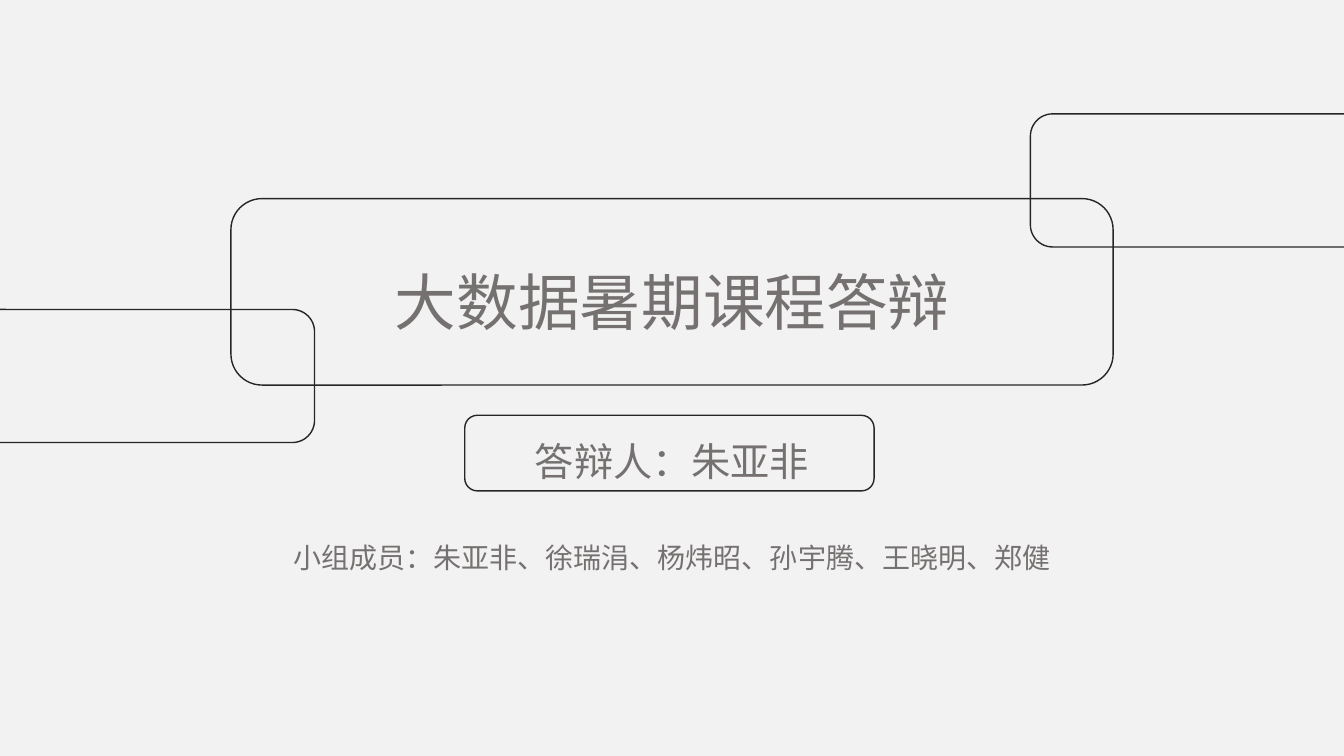
"""Build the cover slide of a course defence."""
from lxml.etree import SubElement
from pptx import Presentation
from pptx.dml.color import RGBColor
from pptx.enum.shapes import MSO_SHAPE as Shape
from pptx.enum.text import MSO_ANCHOR as Anchor, MSO_AUTO_SIZE as Fit, PP_ALIGN as Align
from pptx.oxml.ns import qn
from pptx.util import Inches, Pt

FONT = "Noto Sans CJK SC"
PAPER, INK, GREY = "F2F2F2", "262626", "767171"
FRAMES = [
    (2.29, 1.97, 8.75, 1.85),
    (-3.11, 3.07, 6.23, 1.32),
    (4.61, 4.12, 4.06, 0.75),
    (10.22, 1.13, 6.23, 1.32),
]
TITLE_BOX = (3.79, 2.57, 5.76, 0.84)
TEAM_BOX = (2.78, 4.29, 7.77, 1.85)
TITLE = [("大数据暑期课程答辩", 44, 0)]
TEAM = [
    ("答辩人：朱亚非", 28, 0),
    ("小组成员：朱亚非、徐瑞涓、杨炜昭、孙宇腾、王晓明、郑健", 20, 40),
]


def paint(color, code):
    color.rgb = RGBColor.from_string(code)


def write(frame, lines):
    frame.word_wrap = False
    frame.auto_size = Fit.SHAPE_TO_FIT_TEXT
    frame.vertical_anchor = Anchor.TOP
    for i, (text, size, gap) in enumerate(lines):
        para = frame.add_paragraph() if i else frame.paragraphs[0]
        para.text = text
        para.alignment = Align.CENTER
        para.line_spacing = 1.0
        para.space_before = Pt(gap)
        para.font.name, para.font.size = FONT, Pt(size)
        paint(para.font.color, GREY)
        props = para._p.pPr.find(qn("a:defRPr"))
        SubElement(props, qn("a:ea")).set("typeface", FONT)


def main():
    deck = Presentation()
    deck.slide_width, deck.slide_height = Inches(13.33), Inches(7.5)
    slide = deck.slides.add_slide(deck.slide_layouts[5])
    back = slide.background.fill
    back.solid()
    paint(back.fore_color, PAPER)

    for box in FRAMES:
        card = slide.shapes.add_shape(Shape.ROUNDED_RECTANGLE, *map(Inches, box))
        card.shadow.inherit = False
        card.fill.background()
        paint(card.line.color, INK)
        card.line.width = Pt(1)

    title = slide.shapes.title
    title.left, title.top, title.width, title.height = map(Inches, TITLE_BOX)
    write(title.text_frame, TITLE)
    team = slide.shapes.add_textbox(*map(Inches, TEAM_BOX))
    write(team.text_frame, TEAM)
    deck.save("out.pptx")


if __name__ == "__main__":
    main()
